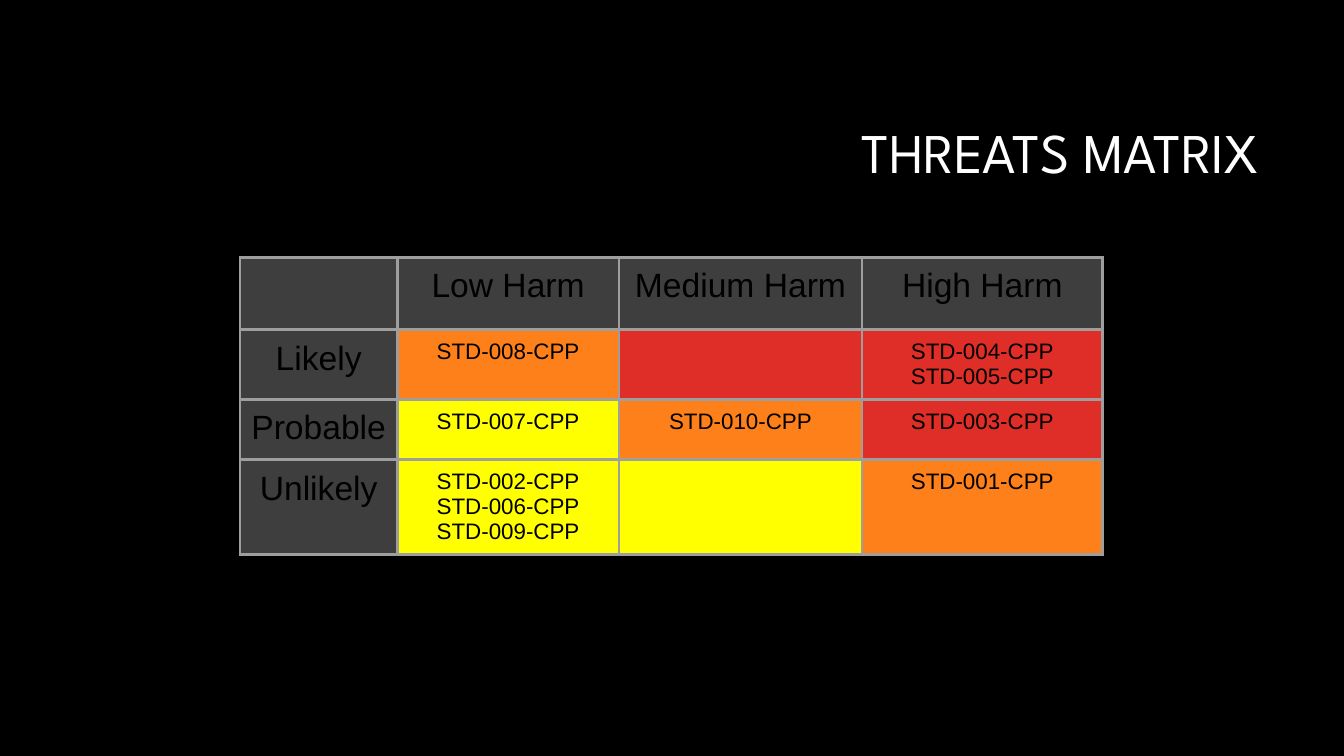
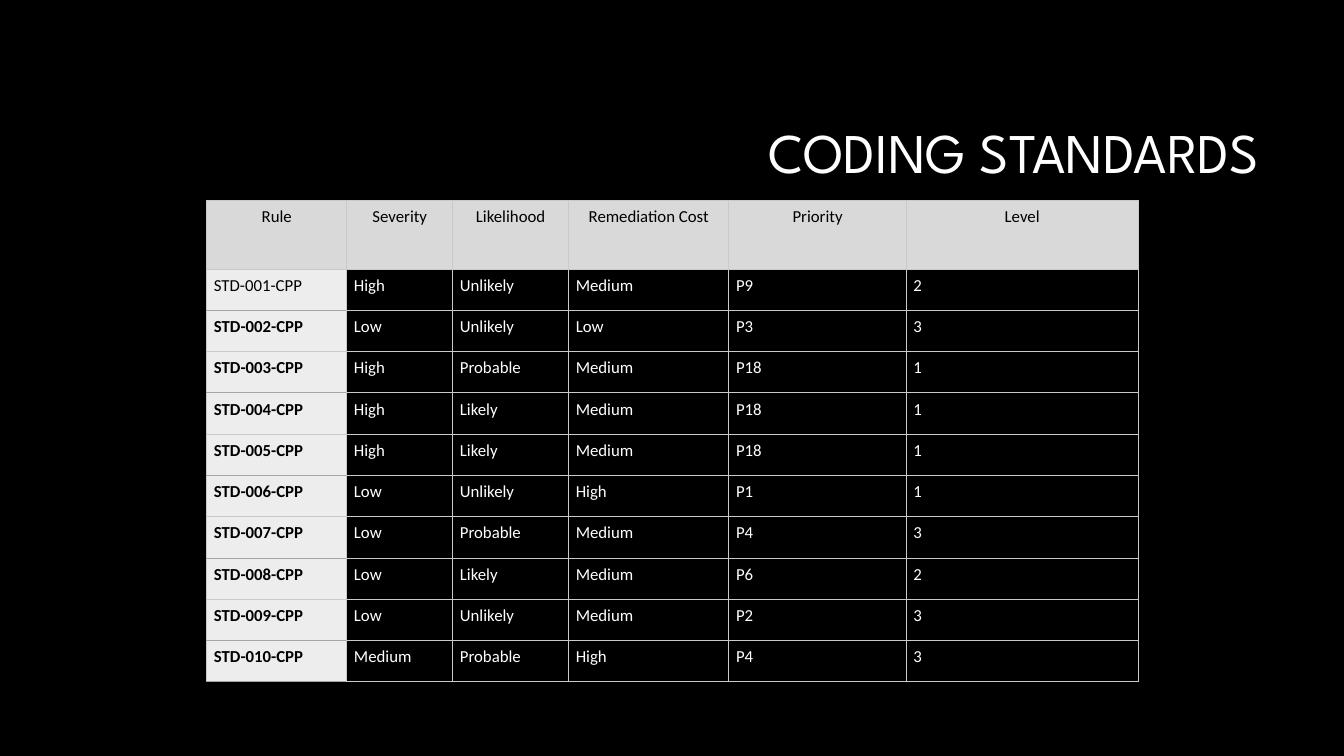
from dataclasses import dataclass

from lxml import etree
from pptx import Presentation
from pptx.dml.color import RGBColor
from pptx.enum.text import MSO_ANCHOR, MSO_AUTO_SIZE, PP_ALIGN
from pptx.oxml.ns import qn
from pptx.util import Cm, Pt

LEFT, CENTER, RIGHT = PP_ALIGN.LEFT, PP_ALIGN.CENTER, PP_ALIGN.RIGHT
MIDDLE = MSO_ANCHOR.MIDDLE
NO_AUTOFIT = MSO_AUTO_SIZE.NONE
TITLE_ONLY = 5

COLORS = {
    "black": "000000", "white": "FFFFFF",
    "label": "3E3E3E", "matrix line": "9E9E9E",
    "red": "DF2E28", "orange": "FE801A", "yellow": "FFFF00",
    "header": "D9D9D9", "rule": "EDEDED",
    "line": "C9C9C9", "dark line": "A5A5A5",
}


def rgb(name):
    return RGBColor.from_string(COLORS[name])


@dataclass
class CellStyle:
    font: str
    size: int
    line: str
    line_width: float
    margins: tuple  # horizontal, vertical, in cm
    color: str = "black"
    fill: str = ""
    bold: bool = False
    align: int = CENTER
    spacing: float = 0  # points, 0 for single spacing
    top: str = ""  # line colours that differ from the rest
    bottom: str = ""


class Deck:
    """Holds the shared style and the current slide."""

    title_font = "League Spartan"
    title_size = Pt(40)
    title_box = Cm(8.05), Cm(2.13), Cm(23.93), Cm(3.58)

    def __init__(self):
        self.presentation = Presentation()
        self.presentation.slide_width = Cm(33.87)
        self.presentation.slide_height = Cm(19.05)
        self.slide = None

    def add_slide(self, title):
        layout = self.presentation.slide_layouts[TITLE_ONLY]
        self.slide = self.presentation.slides.add_slide(layout)
        background = self.slide.background.fill
        background.solid()
        background.fore_color.rgb = rgb("black")

        shape = self.slide.shapes.title
        shape.left, shape.top, shape.width, shape.height = self.title_box
        frame = shape.text_frame
        frame.text = title
        frame.auto_size = NO_AUTOFIT
        frame.word_wrap = True
        frame.vertical_anchor = MIDDLE
        paragraph = frame.paragraphs[0]
        paragraph.alignment = RIGHT
        paragraph.line_spacing = 0.9
        paragraph.font.name = self.title_font
        paragraph.font.size = self.title_size
        paragraph.font.color.rgb = rgb("white")

    def add_table(self, left, top, widths, heights, texts, style_of):
        """Place a table; style_of(row, column) gives each cell's style."""
        table = self.slide.shapes.add_table(
            len(heights), len(widths), Cm(left), Cm(top),
            Cm(sum(widths)), Cm(sum(heights))).table
        table.first_row = table.horz_banding = False
        for column, width in zip(table.columns, widths):
            column.width = Cm(width)
        for row, height in zip(table.rows, heights):
            row.height = Cm(height)
        for row, row_texts in enumerate(texts):
            for column, text in enumerate(row_texts):
                self.format_cell(table.cell(row, column), text, style_of(row, column))

    def format_cell(self, cell, text, style):
        cell.text = text
        horizontal, vertical = style.margins
        cell.margin_left = cell.margin_right = Cm(horizontal)
        cell.margin_top = cell.margin_bottom = Cm(vertical)
        self.add_borders(cell, style)
        if style.fill:
            cell.fill.solid()
            cell.fill.fore_color.rgb = rgb(style.fill)
        else:
            cell.fill.background()
        for paragraph in cell.text_frame.paragraphs:
            paragraph.alignment = style.align
            if style.spacing:
                paragraph.line_spacing = Pt(style.spacing)
            paragraph.font.name = style.font
            paragraph.font.size = Pt(style.size)
            paragraph.font.bold = style.bold
            paragraph.font.color.rgb = rgb(style.color)

    def add_borders(self, cell, style):
        properties = cell._tc.get_or_add_tcPr()
        sides = {"lnL": style.line, "lnR": style.line,
                 "lnT": style.top or style.line, "lnB": style.bottom or style.line}
        for tag, color in sides.items():
            line = etree.SubElement(properties, qn("a:" + tag), w=str(Pt(style.line_width)))
            fill = etree.SubElement(line, qn("a:solidFill"))
            etree.SubElement(fill, qn("a:srgbClr"), val=COLORS[color])


# Threats matrix
MATRIX_TEXTS = [
    ["", "Low Harm", "Medium Harm", "High Harm"],
    ["Likely", "STD-008-CPP", "", "STD-004-CPP\nSTD-005-CPP"],
    ["Probable", "STD-007-CPP", "STD-010-CPP", "STD-003-CPP"],
    ["Unlikely", "STD-002-CPP\nSTD-006-CPP\nSTD-009-CPP", "", "STD-001-CPP"],
]
RISK_FILLS = [
    ["orange", "red", "red"],
    ["yellow", "orange", "red"],
    ["yellow", "yellow", "orange"],
]


def matrix_style(row, column):
    is_label = row == 0 or column == 0
    return CellStyle(
        font="Arial", size=24 if is_label else 16,
        line="matrix line", line_width=2.25, margins=(0.25, 0.25),
        fill="label" if is_label else RISK_FILLS[row - 1][column - 1])


# Coding standards
STANDARD_HEADERS = ["Rule", "Severity", "Likelihood", "Remediation Cost", "Priority", "Level"]
STANDARDS = [
    ["High", "Unlikely", "Medium", "P9", "2"],
    ["Low", "Unlikely", "Low", "P3", "3"],
    ["High", "Probable", "Medium", "P18", "1"],
    ["High", "Likely", "Medium", "P18", "1"],
    ["High", "Likely", "Medium", "P18", "1"],
    ["Low", "Unlikely", "High", "P1", "1"],
    ["Low", "Probable", "Medium", "P4", "3"],
    ["Low", "Likely", "Medium", "P6", "2"],
    ["Low", "Unlikely", "Medium", "P2", "3"],
    ["Medium", "Probable", "High", "P4", "3"],
]


def standards_style(row, column):
    style = CellStyle(font="Calibri", size=12, line="line", line_width=0.75,
                      margins=(0.18, 0.13), spacing=15.4)
    if row == 0:
        style.fill = "header"
        return style
    style.align = LEFT
    if column > 0:
        style.color = "white"
        return style
    # Rule names: darker lines below every odd row and the last one
    style.fill = "rule"
    style.bold = row > 1
    if row % 2 == 0:
        style.top = "dark line"
    if row % 2 == 1 or row == len(STANDARDS):
        style.bottom = "dark line"
    return style


def main():
    deck = Deck()

    deck.add_slide("THREATS MATRIX")
    deck.add_table(6.05, 6.48, [3.96, 5.59, 6.12, 6.07], [1.83, 1.75, 1.52, 2.37],
                   MATRIX_TEXTS, matrix_style)

    deck.add_slide("CODING STANDARDS")
    rows = [[f"STD-{number:03}-CPP", *values]
            for number, values in enumerate(STANDARDS, start=1)]
    deck.add_table(5.21, 5.05, [3.53, 2.67, 2.92, 4.04, 4.47, 5.84],
                   [1.73] + [1.04] * len(rows),
                   [STANDARD_HEADERS, *rows], standards_style)

    deck.presentation.save("out.pptx")


if __name__ == "__main__":
    main()
